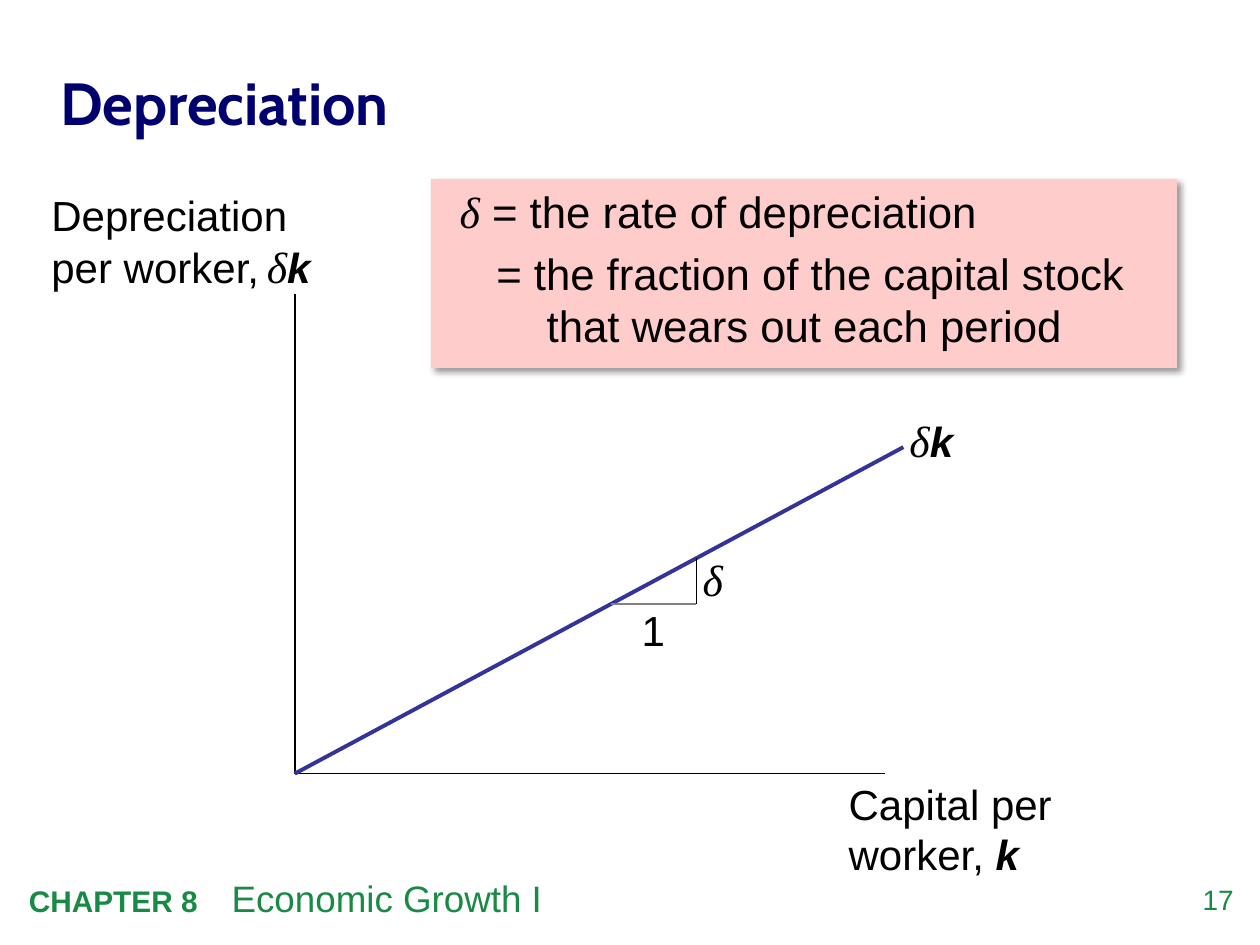
from lxml import etree
from pptx import Presentation, util as u
from pptx.dml import color
from pptx.enum import shapes, text
from pptx.oxml import ns

COLS, ROWS = 100, 75
UNIT = u.Inches(0.1)
GREEN, NAVY, BLUE, PINK, GRAY, BLACK = "198A46", "00006E", "333399", "FFCCCC", "808080", "000000"
DELTA = ("δ", dict(size=25, font="Times New Roman", italic=True))
K = ("k", dict(bold=True, italic=True))


def rgb(value):
    return color.RGBColor.from_string(value)


def grid(*lengths):
    return [round(n * UNIT) for n in lengths]


def part(box, x, y, w=0, h=0):
    left, top, width, height = box
    return left + x * width, top + y * height, w * width, h * height


def sub(parent, tag, **attrs):
    return etree.SubElement(parent, ns.qn(tag), {k: str(v) for k, v in attrs.items()})


def add_run(p, words, size=24, font="Arial", fill=BLACK, bold=False, italic=False):
    r = p.add_run()
    r.text = words
    f = r.font
    f.size, f.name, f.bold, f.italic = u.Pt(size), font, bold, italic
    f.color.rgb = rgb(fill)


def add_text(s, box, runs, anchor=text.MSO_ANCHOR.MIDDLE, align=text.PP_ALIGN.LEFT, inset=0):
    tf = s.shapes.add_textbox(*grid(*box)).text_frame
    tf.word_wrap = True
    tf.vertical_anchor = anchor
    tf.margin_left = tf.margin_right = u.Inches(inset)
    tf.margin_top = tf.margin_bottom = u.Inches(inset / 2)
    p = tf.paragraphs[0]
    p.alignment = align
    for words, style in runs:
        add_run(p, words, **style)
    return p


def add_line(s, start, end, fill=BLACK, width=1):
    c = s.shapes.add_connector(shapes.MSO_CONNECTOR.STRAIGHT, *grid(*start[:2], *end[:2]))
    c.line.color.rgb = rgb(fill)
    c.line.width = u.Pt(width)
    sub(c._element.spPr, "a:effectLst")


def footer(s, box):
    p = add_text(s, part(box, 0, 0, 0.84, 1),
                 [("CHAPTER 8\t", dict(size=17, fill=GREEN, bold=True)),
                  ("Economic Growth I", dict(size=21, fill=GREEN))], inset=0.1)
    tabs = sub(p._p.get_or_add_pPr(), "a:tabLst")
    sub(tabs, "a:tab", pos=u.Inches(1.61), algn="l")
    add_text(s, part(box, 0.9, 0.24, 0.1, 0.71), [("17", dict(size=16, fill=GREEN))],
             anchor=text.MSO_ANCHOR.TOP, align=text.PP_ALIGN.RIGHT)


def title(s, box):
    p = add_text(s, box, [("Depreciation", dict(size=34, font="Cabin", fill=NAVY, bold=True))])
    p.line_spacing = 1.05


def definition(s, box):
    sp = s.shapes.add_shape(shapes.MSO_SHAPE.RECTANGLE, *grid(*box))
    sp.shadow.inherit = False
    sp.fill.solid()
    sp.fill.fore_color.rgb = rgb(PINK)
    sp.line.fill.background()
    effects = sp._element.spPr.find(ns.qn("a:effectLst"))
    shadow = sub(effects, "a:outerShdw", blurRad=u.Pt(4), dist=u.Pt(3), dir=45 * 60000, algn="tl", rotWithShape=0)
    sub(sub(shadow, "a:srgbClr", val=BLACK), "a:alpha", val=40000)

    tf = sp.text_frame
    tf.word_wrap = True
    tf.vertical_anchor = text.MSO_ANCHOR.TOP
    rows = [(-0.69, [DELTA, (" = the rate of depreciation", dict(size=25))]),
            (-0.4, [("= the fraction of the capital stock that wears out each period", dict(size=25))])]
    for i, (indent, runs) in enumerate(rows):
        p = tf.add_paragraph() if i else tf.paragraphs[0]
        p.alignment = text.PP_ALIGN.LEFT
        p.space_before = u.Pt(5)
        pPr = p._p.get_or_add_pPr()
        pPr.set("marL", str(u.Inches(0.82)))
        pPr.set("indent", str(u.Inches(indent)))
        for words, style in runs:
            add_run(p, words, **style)


def diagram(s, box):
    origin = part(box, 0, 1)
    rise = 0.68

    def on_line(x):
        return part(box, x, 1 - rise * x)

    add_line(s, part(box, 0, 0), origin)
    add_line(s, origin, part(box, 0.97, 1))
    low, high = on_line(0.52), on_line(0.66)
    corner = high[0], low[1]
    add_line(s, origin, on_line(1), BLUE, 2.25)
    add_line(s, low, corner, GRAY)
    add_line(s, corner, high)

    labels = [
        ((-0.4, -0.22, 0.49, 0.22), [("Depreciation per worker,", {}), (" ", dict(size=16)), DELTA, K]),
        ((0.91, 1.01, 0.36, 0.21), [("Capital per worker, ", {}), K]),
        ((1.01, 0.25, 0.22, 0.11), [DELTA, K]),
        ((0.57, 0.65, 0.07, 0.1), [("1", {})]),
        ((0.67, 0.54, 0.07, 0.11), [DELTA]),
    ]
    for share, runs in labels:
        add_text(s, part(box, *share), runs)


def main():
    prs = Presentation()
    prs.slide_width, prs.slide_height = COLS * UNIT, ROWS * UNIT
    s = prs.slides.add_slide(prs.slide_layouts[6])
    footer(s, (1.3, 69, 96.6, 4.5))
    title(s, (4.8, 3.4, 89.3, 9))
    diagram(s, (23.4, 23.3, 48.3, 38.1))
    definition(s, (34.2, 14.2, 59.2, 15))
    prs.save("out.pptx")


if __name__ == "__main__":
    main()
